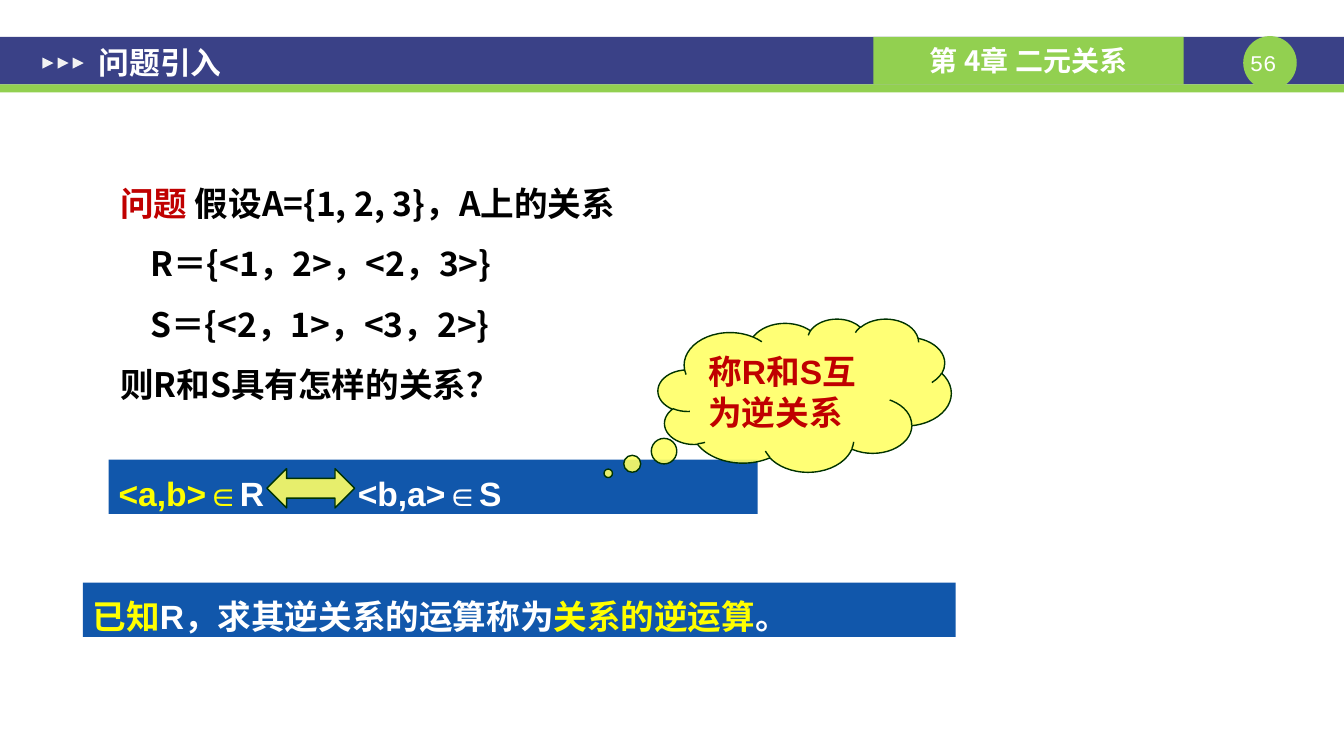
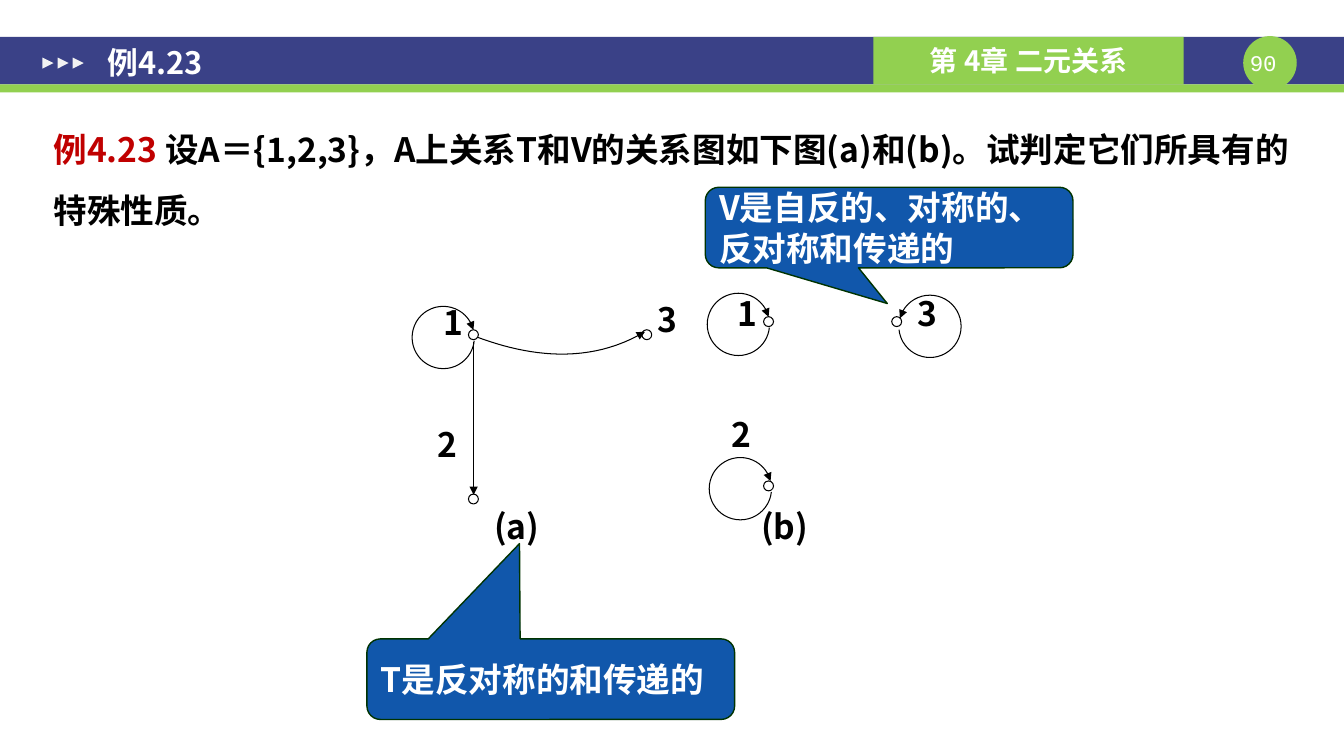
from dataclasses import dataclass
from typing import NamedTuple, Optional

from lxml import etree
from pptx import Presentation
from pptx.dml.color import RGBColor
from pptx.enum.shapes import MSO_CONNECTOR, MSO_SHAPE
from pptx.enum.text import MSO_ANCHOR, MSO_AUTO_SIZE, PP_ALIGN
from pptx.oxml.ns import qn
from pptx.util import Cm, Pt

RECTANGLE = MSO_SHAPE.RECTANGLE
ELLIPSE = MSO_SHAPE.OVAL
TRIANGLE = MSO_SHAPE.ISOSCELES_TRIANGLE
ARC = MSO_SHAPE.ARC
CLOUD = MSO_SHAPE.CLOUD_CALLOUT
DOUBLE_ARROW = MSO_SHAPE.LEFT_RIGHT_ARROW
CALLOUT = MSO_SHAPE.ROUNDED_RECTANGULAR_CALLOUT
STRAIGHT = MSO_CONNECTOR.STRAIGHT
TOP, MIDDLE = MSO_ANCHOR.TOP, MSO_ANCHOR.MIDDLE
LEFT, CENTER, JUSTIFY = PP_ALIGN.LEFT, PP_ALIGN.CENTER, PP_ALIGN.JUSTIFY
NO_AUTOFIT = MSO_AUTO_SIZE.NONE

NAVY, GREEN, BLUE = "3A4187", "92D050", "1157AB"
WHITE, BLACK, RED, YELLOW = "FFFFFF", "000000", "C00000", "FFFF00"
PALE_GRAY, PALE_YELLOW, DARK_GREEN = "F2F2F2", "FFFF66", "003300"
CJK_FONT, LATIN_FONT, NUMBER_FONT = "Noto Sans CJK SC", "Arial", "Courier New"

DEFAULT_INSETS = (0.25, 0.13)
WIDE_INSETS = (0.33, 0.18)
NO_INSETS = (0, 0)
NODE_SIZE = 0.25
LOOP_SIZE = 1.57
CURVE_STEPS = 24
TITLE_ONLY = 5


class Box(NamedTuple):
    left: float
    top: float
    width: float
    height: float


class Span(NamedTuple):
    text: str
    color: str = BLACK


@dataclass
class Style:
    font: str = CJK_FONT
    size: float = 24
    bold: bool = True
    align: PP_ALIGN = LEFT
    anchor: MSO_ANCHOR = TOP
    spacing: Optional[float] = None
    insets: tuple = DEFAULT_INSETS


@dataclass
class Line:
    spans: list
    indent: float = 0
    tab: Optional[float] = None


@dataclass
class Label:
    text: str
    left: float
    top: float
    width: float = 1.65


@dataclass
class Node:
    left: float
    top: float
    fill: Optional[str] = None


@dataclass
class Loop:
    left: float
    top: float
    start: float = 6
    end: float = 346
    arrow: str = "tailEnd"


BODY = Style(spacing=1.5, insets=WIDE_INSETS)
TITLE = Style(size=22, anchor=MIDDLE, insets=WIDE_INSETS)
CHAPTER = Style(size=20, align=CENTER, anchor=MIDDLE)
NUMBER = Style(font=NUMBER_FONT, size=16, bold=False, align=CENTER, insets=NO_INSETS)
STATEMENT = Style(font=LATIN_FONT, align=JUSTIFY, spacing=1.2)
CLOUD_TEXT = Style(font=LATIN_FONT, anchor=MIDDLE)
CALLOUT_TEXT = Style(anchor=MIDDLE)
LABEL = Style(align=JUSTIFY)


def rgb(color: str) -> RGBColor:
    return RGBColor.from_string(color)


def lengths(box: tuple) -> list:
    return [Cm(value) for value in box]


def write(shape, lines: list, style: Style) -> None:
    frame = shape.text_frame
    frame.word_wrap = True
    frame.auto_size = NO_AUTOFIT
    frame.vertical_anchor = style.anchor
    horizontal, vertical = style.insets
    frame.margin_left = frame.margin_right = Cm(horizontal)
    frame.margin_top = frame.margin_bottom = Cm(vertical)
    for index, line in enumerate(lines):
        paragraph = frame.add_paragraph() if index else frame.paragraphs[0]
        properties = paragraph._p.get_or_add_pPr()
        if line.indent:
            properties.set("marL", str(Cm(line.indent)))
        if line.tab:
            tabs = etree.SubElement(properties, qn("a:tabLst"))
            etree.SubElement(tabs, qn("a:tab"), pos=str(Cm(line.tab)), algn="l")
        paragraph.alignment = style.align
        if style.spacing:
            paragraph.line_spacing = style.spacing
        for span in line.spans:
            run = paragraph.add_run()
            run.text = span.text
            run.font.size = Pt(style.size)
            run.font.bold = style.bold
            run.font.color.rgb = rgb(span.color)
            run.font.name = style.font
            etree.SubElement(run._r.get_or_add_rPr(), qn("a:ea"), typeface=CJK_FONT)


def paint(shape, fill: Optional[str], line: Optional[str] = None,
          width: float = 0.75, opacity: int = 100) -> None:
    shape.shadow.inherit = False
    if fill:
        shape.fill.solid()
        shape.fill.fore_color.rgb = rgb(fill)
        if opacity < 100:
            color = shape._element.spPr.find(qn("a:solidFill"))[0]
            etree.SubElement(color, qn("a:alpha"), val=str(opacity * 1000))
    else:
        shape.fill.background()
    if line:
        shape.line.color.rgb = rgb(line)
        shape.line.width = Pt(width)
    else:
        shape.line.fill.background()


def add_shape(slide, kind, box: Box, fill: Optional[str], line: Optional[str] = None,
              width: float = 0.75, opacity: int = 100, adjustments: tuple = ()):
    shape = slide.shapes.add_shape(kind, *lengths(box))
    paint(shape, fill, line, width, opacity)
    for index, value in enumerate(adjustments):
        shape.adjustments[index] = value
    return shape


def add_text(slide, box: Box, lines: list, style: Style) -> None:
    write(slide.shapes.add_textbox(*lengths(box)), lines, style)


def add_arrowhead(shape, end: str) -> None:
    outline = shape._element.spPr.find(qn("a:ln"))
    etree.SubElement(outline, qn(f"a:{end}"), type="triangle")


def add_statement(slide, box: Box, line: Line) -> None:
    write(add_shape(slide, RECTANGLE, box, BLUE), [line], STATEMENT)


def add_callout(slide, box: Box, pointer: tuple, text: str) -> None:
    shape = add_shape(slide, CALLOUT, box, BLUE, DARK_GREEN, 1,
                      adjustments=(*pointer, 0.167))
    write(shape, [Line([Span(text, WHITE)])], CALLOUT_TEXT)


def add_loop(slide, loop: Loop) -> None:
    box = Box(loop.left, loop.top, LOOP_SIZE, LOOP_SIZE)
    angles = (loop.start * 0.6, loop.end * 0.6)
    add_arrowhead(add_shape(slide, ARC, box, None, BLACK, adjustments=angles), loop.arrow)


def add_edge(slide, start: tuple, end: tuple) -> None:
    connector = slide.shapes.add_connector(STRAIGHT, *lengths((*start, *end)))
    connector.line.color.rgb = rgb(BLACK)
    connector.line.width = Pt(0.75)
    add_arrowhead(connector, "tailEnd")
    etree.SubElement(connector._element.spPr, qn("a:effectLst"))


def add_curve(slide, controls: list) -> None:
    points = []
    for step in range(CURVE_STEPS + 1):
        t = step / CURVE_STEPS
        weights = ((1 - t) ** 3, 3 * t * (1 - t) ** 2, 3 * t * t * (1 - t), t ** 3)
        points.append(tuple(
            Cm(sum(weight * point[axis] for weight, point in zip(weights, controls)))
            for axis in (0, 1)))
    builder = slide.shapes.build_freeform(*points[0], scale=1.0)
    builder.add_line_segments(points[1:], close=False)
    shape = builder.convert_to_shape()
    paint(shape, None, BLACK)
    add_arrowhead(shape, "tailEnd")


def move_bands_to_layout(slide, layout) -> None:
    bands = [
        add_shape(slide, RECTANGLE, Box(0, 0.93, 33.88, 1.2), NAVY),
        add_shape(slide, RECTANGLE, Box(0, 2.13, 33.88, 0.2), GREEN),
        add_shape(slide, ELLIPSE, Box(31.34, 0.91, 1.35, 1.35), GREEN),
    ]
    chapter = add_shape(slide, RECTANGLE, Box(22.02, 0.93, 7.82, 1.2), GREEN)
    write(chapter, [Line([Span("第 4章 二元关系", WHITE)])], CHAPTER)
    bands.append(chapter)
    for index in range(3):
        marker = add_shape(slide, TRIANGLE, Box(1.07 + 0.38 * index, 1.45, 0.28, 0.28),
                           PALE_GRAY)
        marker.rotation = 90
        bands.append(marker)
    for number, band in enumerate(bands, start=100):
        band._element.nvSpPr.cNvPr.set("id", str(number))
        layout.shapes._spTree.append(band._element)


def add_slide(presentation, title: str, box: Box, number: int):
    slide = presentation.slides.add_slide(presentation.slide_layouts[TITLE_ONLY])
    placeholder = slide.shapes.title
    placeholder.left, placeholder.top, placeholder.width, placeholder.height = lengths(box)
    write(placeholder, [Line([Span(title, WHITE)])], TITLE)
    add_text(slide, Box(31.34, 1.24, 1.35, 0.69), [Line([Span(f"{number} ", WHITE)])], NUMBER)
    return slide


def build_inverse_slide(presentation):
    slide = add_slide(presentation, "问题引入", Box(2.16, 0.97, 14.81, 1.19), 56)
    add_text(slide, Box(2.7, 3.92, 20.02, 8.41), [
        Line([Span("问题", RED), Span(" 假设A={1, 2, 3}，A上的关系")]),
        Line([Span("R＝{<1，2>，<2，3>}")], indent=0.76),
        Line([Span("S＝{<2，1>，<3，2>}")], indent=0.76),
        Line([Span("则R和S具有怎样的关系？")]),
    ], BODY)
    add_statement(slide, Box(2.74, 11.58, 16.36, 1.37),
                  Line([Span("<a,b>∈", YELLOW), Span("R\t<b,a>∈S", WHITE)], tab=6.03))
    add_shape(slide, DOUBLE_ARROW, Box(6.73, 11.81, 2.21, 0.99), PALE_YELLOW, DARK_GREEN,
              1, 90, (0.5, 0.5))
    cloud = add_shape(slide, CLOUD, Box(16.59, 8.03, 7.39, 3.86), PALE_YELLOW, DARK_GREEN,
                      1, 90, (-0.67, 0.51))
    write(cloud, [Line([Span("称R和S互为逆关系", RED)])], CLOUD_TEXT)
    add_statement(slide, Box(2.09, 14.68, 22, 1.37), Line([
        Span("已知", YELLOW), Span("R，求其逆关系的运算称为", WHITE),
        Span("关系的逆运算", YELLOW), Span("。", WHITE)]))
    return slide


def build_example_slide(presentation) -> None:
    slide = add_slide(presentation, "例4.23", Box(2.39, 0.76, 22.4, 1.63), 90)
    add_text(slide, Box(1.02, 2.57, 31.8, 3.78), [Line([
        Span("例4.23 ", RED),
        Span("设A＝{1,2,3}，A上关系T和V的关系图如下图(a)和(b)。"
             "试判定它们所具有的特殊性质。")])], BODY)
    for label in (Label("2", 10.77, 10.54), Label("2", 18.19, 10.29),
                  Label("(a)", 12.21, 12.62, 2), Label("(b)", 18.94, 12.62, 2),
                  Label("1", 10.92, 7.47), Label("3", 16.33, 7.39),
                  Label("1", 18.34, 7.24), Label("3", 22.89, 7.26)):
        add_text(slide, Box(label.left, label.top, label.width, 2.13),
                 [Line([Span(label.text)])], LABEL)
    add_edge(slide, (11.94, 8.61), (11.94, 12.47))
    add_curve(slide, [(11.99, 8.48), (13.34, 8.99), (14.86, 9.19), (16.26, 8.36)])
    for loop in (Loop(10.39, 7.72), Loop(17.83, 7.39), Loop(17.88, 11.53),
                 Loop(22.66, 7.44, 195, 174, "headEnd")):
        add_loop(slide, loop)
    for node in (Node(16.18, 8.31), Node(11.81, 12.45), Node(22.48, 7.98),
                 Node(19.25, 12.12), Node(19.25, 7.98), Node(11.81, 8.31, WHITE)):
        add_shape(slide, ELLIPSE, Box(node.left, node.top, NODE_SIZE, NODE_SIZE),
                  node.fill, BLACK)
    add_callout(slide, Box(9.25, 16.1, 9.27, 2.03), (-0.085, -1.683), "T是反对称的和传递的")
    add_callout(slide, Box(17.78, 4.72, 9.27, 2.03), (-0.005, 0.943),
                "V是自反的、对称的、反对称和传递的")


def main() -> None:
    presentation = Presentation()
    presentation.slide_width, presentation.slide_height = Cm(33.88), Cm(19.05)
    first_slide = build_inverse_slide(presentation)
    move_bands_to_layout(first_slide, presentation.slide_layouts[TITLE_ONLY])
    build_example_slide(presentation)
    presentation.save("out.pptx")


if __name__ == "__main__":
    main()
